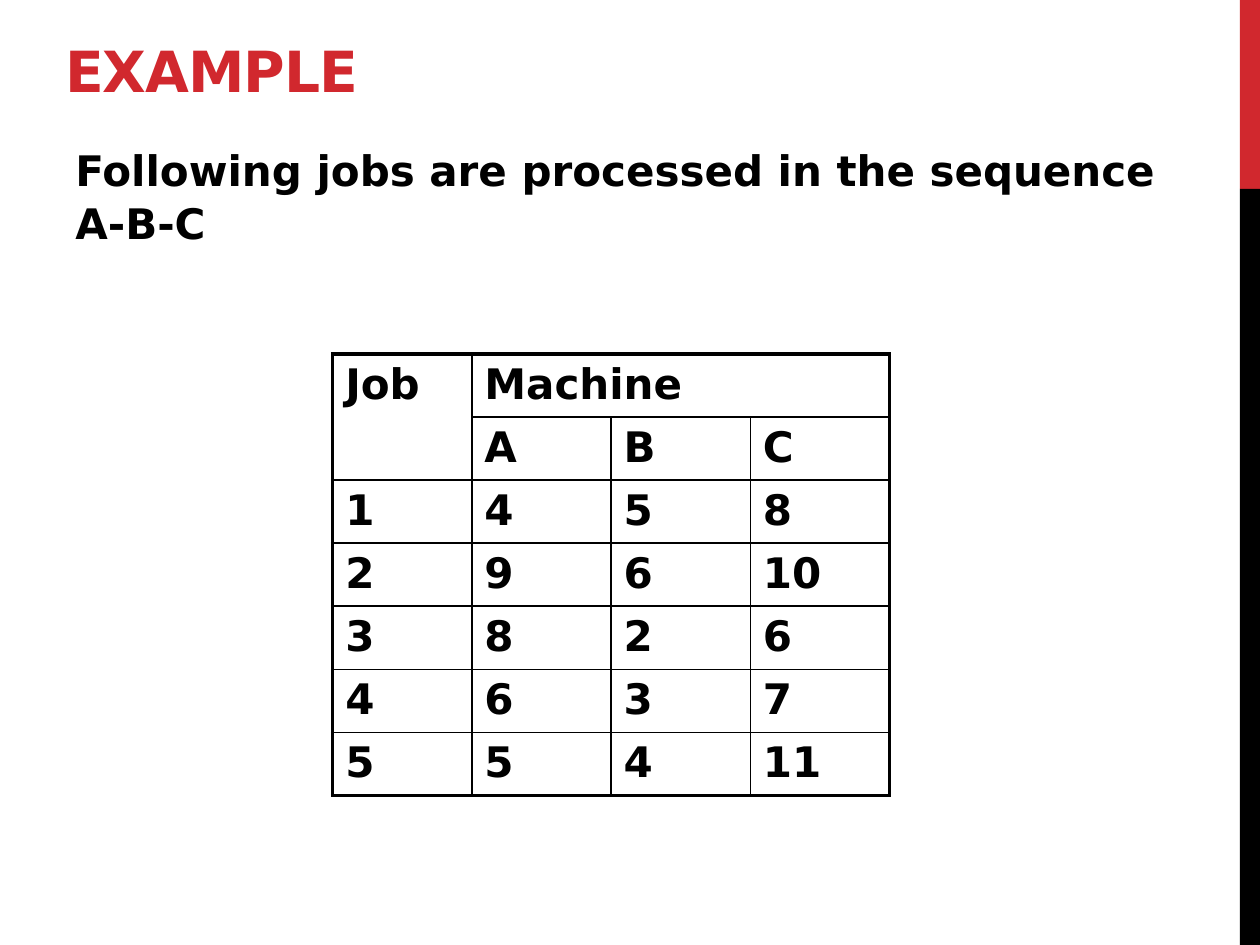
from pptx import Presentation
from pptx.dml.color import RGBColor
from pptx.enum.shapes import MSO_SHAPE
from pptx.enum.text import MSO_ANCHOR
from pptx.oxml.ns import qn
from pptx.util import Inches, Pt
from lxml.etree import SubElement

COLORS = {"accent": "D1282E", "ink": "000000"}
FONT = "DejaVu Sans"
JOB_TIMES = [
    ["Job", "Machine", "", ""],
    ["", "A", "B", "C"],
    ["1", "4", "5", "8"],
    ["2", "9", "6", "10"],
    ["3", "8", "2", "6"],
    ["4", "6", "3", "7"],
    ["5", "5", "4", "11"],
]


def write_text(frame, text, size=24, color="ink", tracking=None, line_spacing=None, after=0):
    """Write one bold paragraph into a text frame."""
    frame.word_wrap = True
    para = frame.paragraphs[0]
    para.space_after = Pt(after)
    para.line_spacing = line_spacing
    span = para.add_run()
    span.text = text
    span.font.name = FONT
    span.font.size = Pt(size)
    span.font.bold = True
    span.font.color.rgb = RGBColor.from_string(COLORS[color])
    if tracking is not None:
        span.font._element.set("spc", str(round(tracking * 100)))


def add_text(page, box, text, anchor=MSO_ANCHOR.TOP, **text_format):
    """Place a text box and fill it with one paragraph."""
    frame = page.shapes.add_textbox(*map(Inches, box)).text_frame
    frame.vertical_anchor = anchor
    write_text(frame, text, **text_format)


def add_side_band(page, box):
    """Fill the box with a red fifth above a black remainder."""
    left, top, width, height = box
    split = height / 5
    for color, start, length in (("accent", top, split), ("ink", top + split, height - split)):
        bar = page.shapes.add_shape(
            MSO_SHAPE.RECTANGLE, Inches(left), Inches(start), Inches(width), Inches(length))
        bar.shadow.inherit = False
        bar.fill.solid()
        bar.fill.fore_color.rgb = RGBColor.from_string(COLORS[color])
        bar.line.fill.background()


def set_borders(cell, outer_sides):
    """Rule a cell, heavier on the sides that lie on the table's edge."""
    properties = cell._tc.get_or_add_tcPr()
    for side in "LRTB":
        width = 2.25 if side in outer_sides else 1
        line = SubElement(properties, qn(f"a:ln{side}"), w=str(Pt(width)))
        fill = SubElement(line, qn("a:solidFill"))
        SubElement(fill, qn("a:srgbClr"), val=COLORS["ink"])


def add_job_table(page, box, rows):
    """Place the table of processing times with its merged headings."""
    row_count, column_count = len(rows), len(rows[0])
    left, top, width, height = map(Inches, box)
    table = page.shapes.add_table(row_count, column_count, left, top, width, height).table
    table.first_row = False
    table.horz_banding = False
    table.cell(0, 0).merge(table.cell(1, 0))
    table.cell(0, 1).merge(table.cell(0, column_count - 1))
    for row_index, values in enumerate(rows):
        for column_index, value in enumerate(values):
            cell = table.cell(row_index, column_index)
            if not cell.is_spanned:
                edges = {
                    "L": column_index == 0,
                    "R": column_index + cell.span_width == column_count,
                    "T": row_index == 0,
                    "B": row_index + cell.span_height == row_count,
                }
                set_borders(cell, [side for side, outer in edges.items() if outer])
                write_text(cell.text_frame, value)
            cell.fill.background()


def main():
    """Build the example slide and save it."""
    deck = Presentation()
    deck.slide_width, deck.slide_height = Inches(10), Inches(7.5)
    page = deck.slides.add_slide(deck.slide_layouts[6])
    add_side_band(page, (9.84, 0, 0.16, 7.5))
    add_text(page, (0.42, 0.25, 8.08, 0.62), "EXAMPLE", anchor=MSO_ANCHOR.BOTTOM,
             size=32.4, color="accent", tracking=-0.6)
    add_text(page, (0.5, 1.08, 8.83, 5.92),
             "Following jobs are processed in the sequence A-B-C", line_spacing=1.05, after=6)
    add_job_table(page, (2.64, 2.81, 4.42, 3.43), JOB_TIMES)
    deck.save("out.pptx")


if __name__ == "__main__":
    main()
